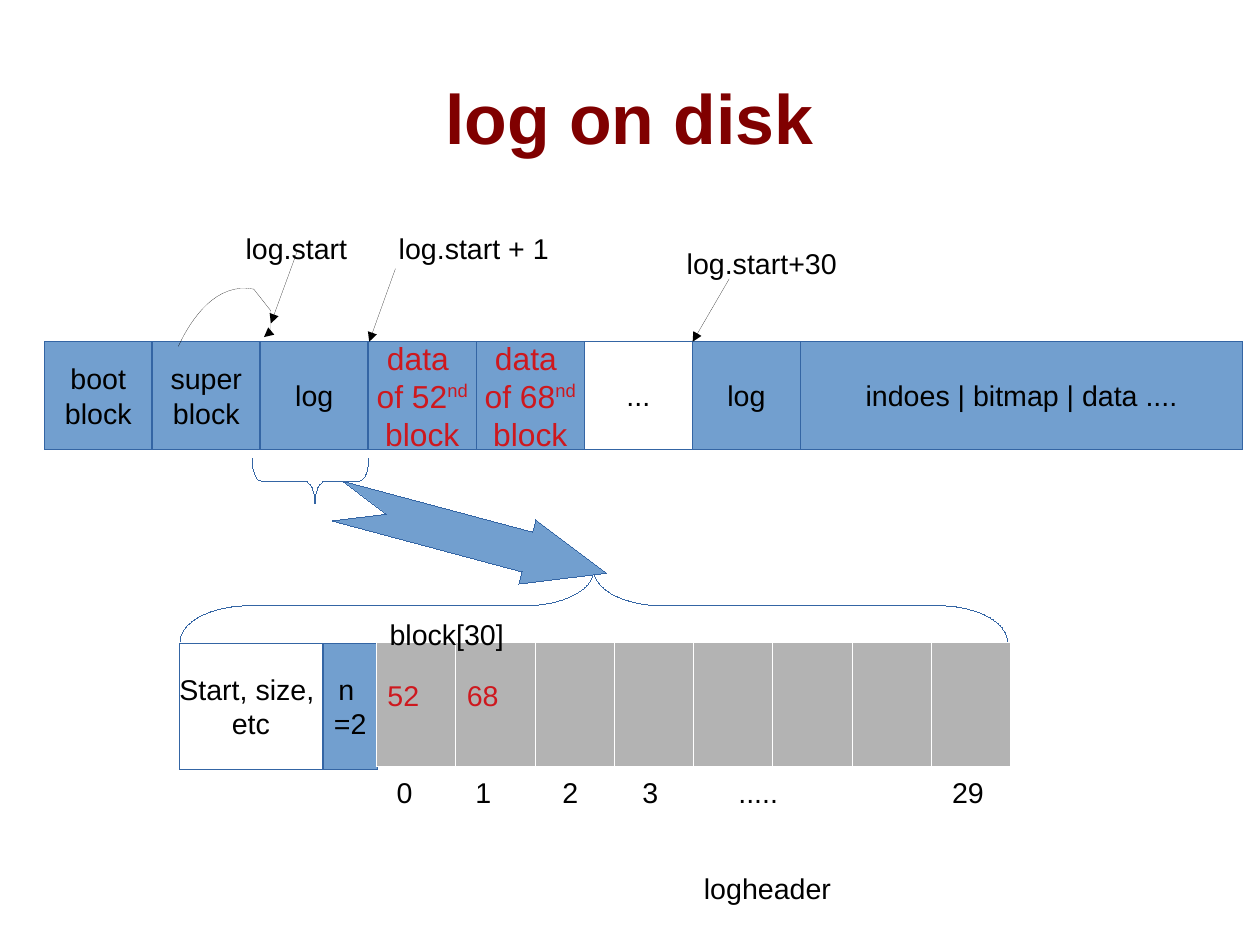
import dataclasses

import pptx
import pptx.dml.color
import pptx.enum.shapes
import pptx.enum.text
import pptx.oxml
import pptx.oxml.ns
import pptx.util

Inches, Pt = pptx.util.Inches, pptx.util.Pt
RGB = pptx.dml.color.RGBColor.from_string
SHAPE = pptx.enum.shapes.MSO_SHAPE
ALIGN = pptx.enum.text.PP_ALIGN
ANCHOR = pptx.enum.text.MSO_ANCHOR
NS = pptx.oxml.ns.nsdecls("a")


@dataclasses.dataclass
class Theme:
    font: str = "Arial"
    title: str = "800000"
    text: str = "000000"
    logged: str = "CE181E"
    block: str = "729FCF"
    plain: str = "FFFFFF"
    cell: str = "B3B3B3"
    outline: str = "3465A4"
    title_size: int = 44
    data_size: int = 20
    text_size: int = 18


T = Theme()

# Content: a caret marks the superscript that ends a line
TITLE = "log on disk"
DISK = [  # text, fill, text colour, size
    ("boot\nblock", T.block, T.text, T.text_size),
    ("super\nblock", T.block, T.text, T.text_size),
    ("log", T.block, T.text, T.text_size),
    ("data \nof 52^nd\nblock", T.block, T.logged, T.data_size),
    ("data \nof 68^nd\nblock", T.block, T.logged, T.data_size),
    ("...", T.plain, T.text, T.text_size),
    ("log", T.block, T.text, T.text_size),
    ("indoes | bitmap | data ....", T.block, T.text, T.text_size),
]
HEADER = [  # text, left, width, fill
    ("Start, size, \netc", 1.57, 1.25, T.plain),
    ("n \n=2", 2.83, 0.47, T.block),
]
BLOCK_NUMBERS = ["52", "68"] + [""] * 6
INDEXES = ["0", "1", "2", "3", ".....", "29"]
INDEX_TABS = [0.69, 1.45, 2.15, 2.99, 4.86]
LABELS = [  # text, left, top, width, height
    ("log.start", 2.05, 1.97, 1.34, 0.38),
    ("log.start + 1", 3.39, 1.97, 1.65, 0.66),
    ("log.start+30", 5.91, 2.1, 1.73, 0.66),
    ("block[30]", 3.31, 5.35, 2.13, 0.38),
    ("logheader", 6.06, 7.57, 2.68, 0.38),
]
POINTERS = [  # x1, y1, x2, y2
    (2.6, 2.2, 2.37, 2.83),
    (3.46, 2.35, 3.23, 2.99),
    (6.38, 2.44, 6.06, 2.99),
]
TURNED = [  # shape, box, rotation, adjustments, fill
    (SHAPE.LEFT_BRACE, (2.52, 3.7, 0.39, 1.02), 270, (0.22, 0.54), None),
    (SHAPE.LEFT_BRACE, (4.88, 1.68, 0.63, 7.24), 90, (0.96, 0.5), None),
    (SHAPE.NOTCHED_RIGHT_ARROW, (2.91, 4.41, 2.44, 0.58), 15, (0.62, 1.24), T.block),
]
SUPER_CURVE = [(1.56, 3.03), (1.68, 2.78), (1.89, 2.47), (2.22, 2.53)]
SUPER_END = [(2.37, 2.72), (2.37, 2.91), (2.31, 2.95)]

SLIDE_CM = (28, 21)
DISK_LEFT, DISK_TOP, DISK_RIGHT = 0.39, 2.99, 10.87
BLOCK, PITCH = 0.94, 0.945
UNITS = 1000  # freeform units per inch


def box(left, top, width, height):
    return [Inches(v) for v in (left, top, width, height)]


def style(r, size, color):
    r.font.name, r.font.size = T.font, Pt(size)
    r.font.color.rgb = RGB(color)


def write(tf, text, size=T.text_size, color=T.text, align=ALIGN.LEFT):
    for i, line in enumerate(text.split("\n")):
        p = tf.add_paragraph() if i else tf.paragraphs[0]
        p.alignment = align
        base, _, raised = line.partition("^")
        p.text = base
        if raised:
            r = p.add_run()
            r.text = raised
            r.font._element.set("baseline", "33000")
        for r in p.runs:
            style(r, size, color)


def hairline(sp, color):
    sp.line.color.rgb = RGB(color)
    ln = sp.line._get_or_add_ln()
    ln.set("w", "0")
    return ln


def paint(sp, fill):
    sp.shadow.inherit = False
    if fill:
        sp.fill.solid()
        sp.fill.fore_color.rgb = RGB(fill)
    else:
        sp.fill.background()
    hairline(sp, T.outline)


def add_head(sp):
    hairline(sp, T.text).append(
        pptx.oxml.parse_xml(f'<a:tailEnd {NS} type="triangle"/>'))


def add_block(s, area, text, fill, color=T.text, size=T.text_size):
    sp = s.shapes.add_shape(SHAPE.RECTANGLE, *box(*area))
    paint(sp, fill)
    sp.text_frame.word_wrap = False
    sp.text_frame.vertical_anchor = ANCHOR.MIDDLE
    write(sp.text_frame, text, size, color, ALIGN.CENTER)


def add_label(s, area, text):
    tf = s.shapes.add_textbox(*box(*area)).text_frame
    tf.word_wrap = True
    write(tf, text)
    return tf


def bezier(points, t):
    weights = ((1 - t) ** 3, 3 * t * (1 - t) ** 2, 3 * t * t * (1 - t), t ** 3)
    return tuple(sum(w * p[k] for w, p in zip(weights, points)) for k in (0, 1))


def add_block_table(s):
    columns = len(BLOCK_NUMBERS)
    table = s.shapes.add_table(1, columns, *box(3.29, 5.62, 5.55, 1.08)).table
    table.first_row = table.horz_banding = False
    for i, number in enumerate(BLOCK_NUMBERS):
        table.columns[i].width = Inches(5.55 / columns)
        cell = table.cell(0, i)
        cell.margin_top = Inches(0.33)
        write(cell.text_frame, number, color=T.logged)
        tc_pr = cell._tc.get_or_add_tcPr()
        for side in ("lnL", "lnR", "lnT", "lnB"):
            tc_pr.append(pptx.oxml.parse_xml(
                f'<a:{side} {NS} w="762"><a:solidFill><a:srgbClr val="{T.plain}"/>'
                f'</a:solidFill></a:{side}>'))
        cell.fill.solid()
        cell.fill.fore_color.rgb = RGB(T.cell)


def main():
    prs = pptx.Presentation()
    prs.slide_width, prs.slide_height = (Inches(v / 2.54) for v in SLIDE_CM)
    s = prs.slides.add_slide(prs.slide_layouts[5])

    # Title
    title = s.shapes.title
    title.left, title.top, title.width, title.height = box(0.55, 0.33, 9.92, 1.38)
    title.text_frame.vertical_anchor = ANCHOR.MIDDLE
    write(title.text_frame, TITLE, T.title_size, T.title, ALIGN.CENTER)
    title.text_frame.paragraphs[0].runs[0].font.bold = True

    # Disk layout: equal blocks, the last one runs to the right end
    for i, (text, fill, color, size) in enumerate(DISK):
        left = DISK_LEFT + i * PITCH
        width = DISK_RIGHT - left if i == len(DISK) - 1 else BLOCK
        add_block(s, (left, DISK_TOP, width, BLOCK), text, fill, color, size)

    # Log header: fields, block array and its indexes
    for text, left, width, fill in HEADER:
        add_block(s, (left, 5.63, width, 1.1), text, fill)
    add_block_table(s)
    tf = add_label(s, (3.31, 6.73, 5.51, 0.38), "\t".join(INDEXES))
    tf.margin_left = Inches(0.16)
    stops = "".join(f'<a:tab pos="{Inches(t)}" algn="l"/>' for t in INDEX_TABS)
    tf.paragraphs[0]._p.get_or_add_pPr().append(
        pptx.oxml.parse_xml(f"<a:tabLst {NS}>{stops}</a:tabLst>"))

    # Braces and the block arrow
    for kind, area, rotation, adjustments, fill in TURNED:
        sp = s.shapes.add_shape(kind, *box(*area))
        sp.rotation = rotation
        for i, value in enumerate(adjustments):
            sp.adjustments[i] = value
        paint(sp, fill)

    # Labels and pointers
    for text, *area in LABELS:
        add_label(s, area, text)
    for ends in POINTERS:
        line = s.shapes.add_connector(
            pptx.enum.shapes.MSO_CONNECTOR.STRAIGHT, *box(*ends))
        add_head(line)
        line._element.spPr.append(pptx.oxml.parse_xml(f"<a:effectLst {NS}/>"))

    # Curve from the super block to the log
    points = [bezier(SUPER_CURVE, i / 16) for i in range(17)] + SUPER_END
    points = [(x * UNITS, y * UNITS) for x, y in points]
    builder = s.shapes.build_freeform(*points[0], scale=Inches(1) / UNITS)
    builder.add_line_segments(points[1:], close=False)
    curve = builder.convert_to_shape()
    paint(curve, None)
    add_head(curve)

    prs.save("out.pptx")


if __name__ == "__main__":
    main()
